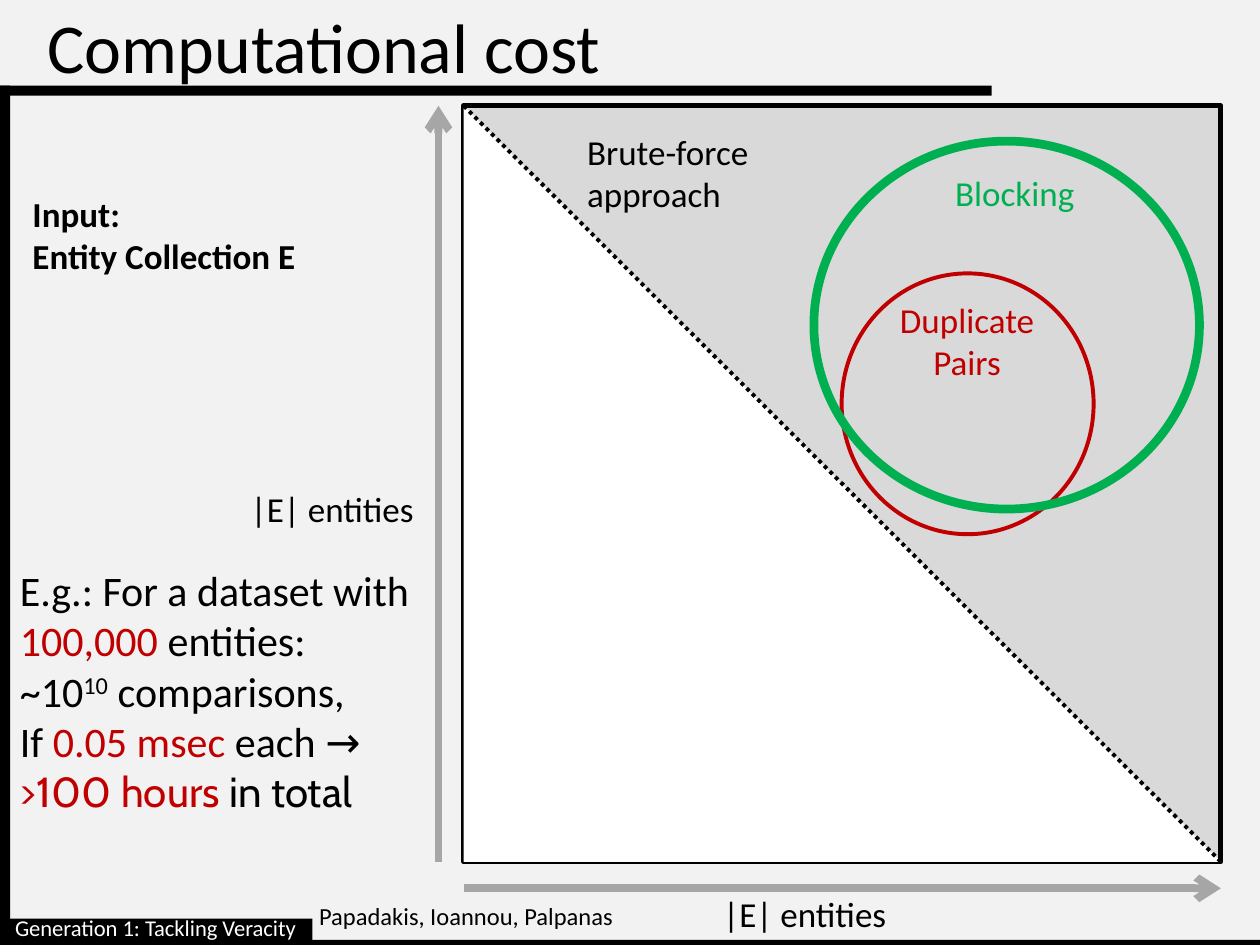
from dataclasses import dataclass
from typing import Optional

import pptx
import pptx.dml.color
import pptx.enum.dml
import pptx.enum.shapes
import pptx.enum.text
import pptx.oxml
import pptx.oxml.ns
import pptx.util

Inches = pptx.util.Inches
RGBColor = pptx.dml.color.RGBColor
MSO_SHAPE = pptx.enum.shapes.MSO_SHAPE
PP_ALIGN = pptx.enum.text.PP_ALIGN
MSO_ANCHOR = pptx.enum.text.MSO_ANCHOR

BLACK = RGBColor(0x00, 0x00, 0x00)
WHITE = RGBColor(0xFF, 0xFF, 0xFF)
PAPER = RGBColor(0xF2, 0xF2, 0xF2)
SHADE = RGBColor(0xD9, 0xD9, 0xD9)
GRAY = RGBColor(0xA6, 0xA6, 0xA6)
RED = RGBColor(0xC0, 0x00, 0x00)
GREEN = RGBColor(0x00, 0xB0, 0x50)

LEFT, TOP, WIDTH, HEIGHT = 3.68, 0.84, 6.01, 6
RIGHT, BOTTOM = LEFT + WIDTH, TOP + HEIGHT
BAR = 0.08
NARROW = (0.06, 0.03, 0.06, 0.03)
NORMAL = (0.1, 0.05, 0.1, 0.05)


@dataclass
class Shape:
    kind: int
    box: tuple[float, float, float, float]
    fill: Optional[RGBColor] = None
    line: Optional[RGBColor] = None
    weight: float = 0


@dataclass
class Line:
    start: tuple[float, float]
    end: tuple[float, float]
    color: RGBColor
    weight: float
    arrow: bool = False


@dataclass
class Run:
    text: str
    color: RGBColor = BLACK
    font: str = "Calibri"
    superscript: bool = False


@dataclass
class Label:
    box: tuple[float, float, float, float]
    paragraphs: list[list[Run]]
    size: float = 20
    bold: bool = False
    align: int = PP_ALIGN.LEFT
    anchor: int = MSO_ANCHOR.TOP
    margins: tuple[float, float, float, float] = NARROW
    spacing: float = 1.0


SHAPES = [
    Shape(MSO_SHAPE.RECTANGLE, (0, 7.46, 10, BAR), BLACK),
    Shape(MSO_SHAPE.RECTANGLE, (0, 0.68, 7.87, BAR), BLACK),
    Shape(MSO_SHAPE.RECTANGLE, (0, 0.68, BAR, 6.82), BLACK),
    Shape(MSO_SHAPE.RECTANGLE, (0.04, 7.29, 2.44, 0.22), BLACK),
    Shape(MSO_SHAPE.RECTANGLE, (LEFT, TOP, WIDTH, HEIGHT), SHADE, BLACK, 3),
    Shape(MSO_SHAPE.RIGHT_TRIANGLE, (LEFT, TOP, WIDTH, HEIGHT), WHITE),
    Shape(MSO_SHAPE.OVAL, (6.68, 2.17, 2, 2.07), None, RED, 2.25),
    Shape(MSO_SHAPE.OVAL, (6.46, 1.12, 3.06, 2.92), None, GREEN, 5),
]

LINES = [
    Line((LEFT, 7.05), (RIGHT, 7.05), GRAY, 4.5, arrow=True),
    Line((3.48, BOTTOM), (3.48, TOP), GRAY, 4.5, arrow=True),
    Line((LEFT, TOP), (RIGHT, BOTTOM), BLACK, 2.25),
]

LABELS = [
    Label((1.93, 3.84, 1.56, 0.39), [[Run("|E| entities")]]),
    Label((5.68, 7.05, 1.81, 0.39), [[Run("|E| entities")]]),
    Label((4.6, 1.01, 1.47, 0.73), [[Run("Brute-force approach")]]),
    Label((6.9, 2.34, 1.55, 0.73), [[Run("Duplicate Pairs", RED)]], align=PP_ALIGN.CENTER),
    Label((7.52, 1.33, 1.12, 0.39), [[Run("Blocking", GREEN)]]),
    Label((0.16, 1.48, 2.8, 0.77), [[Run("Input:")], [Run("Entity Collection E")]],
          bold=True, margins=NORMAL),
    Label((0.06, 4.43, 3.35, 2.12), [
        [Run("E.g.: For a dataset with "), Run("100,000", RED), Run(" entities:")],
        [Run("~10"), Run("10", superscript=True), Run(" comparisons,")],
        [Run("If "), Run("0.05 msec ", RED), Run("each "), Run("→ ", font="Cabin"),
         Run(">100 hours ", RED, "Cabin"), Run("in total", font="Cabin")],
    ], size=24, margins=NORMAL),
    Label((0.28, 0, 8.43, 0.73), [[Run("Computational cost")]], size=40,
          anchor=MSO_ANCHOR.MIDDLE, margins=NORMAL),
    Label((1.93, 7.1, 3.54, 0.4), [[Run("Papadakis, Ioannou, Palpanas")]], size=14,
          align=PP_ALIGN.CENTER, margins=NORMAL),
    Label((0.04, 7.29, 2.44, 0.22), [[Run("Generation 1: Tackling Veracity", WHITE)]],
          size=12.9, align=PP_ALIGN.JUSTIFY, anchor=MSO_ANCHOR.MIDDLE,
          margins=(0.08, 0, 0.04, 0.04), spacing=0.8),
]


def draw_shape(s: pptx.slide.Slide, item: Shape) -> None:
    sp = s.shapes.add_shape(item.kind, *map(Inches, item.box))
    sp.shadow.inherit = False
    if item.fill is None:
        sp.fill.background()
    else:
        sp.fill.solid()
        sp.fill.fore_color.rgb = item.fill
    if item.line is None:
        sp.line.fill.background()
    else:
        sp.line.color.rgb = item.line
        sp.line.width = pptx.util.Pt(item.weight)


def draw_line(s: pptx.slide.Slide, item: Line) -> None:
    cx = s.shapes.add_connector(pptx.enum.shapes.MSO_CONNECTOR.STRAIGHT,
                                *map(Inches, item.start + item.end))
    cx.line.color.rgb = item.color
    cx.line.width = pptx.util.Pt(item.weight)
    if item.arrow:
        tail = pptx.oxml.parse_xml(f'<a:tailEnd {pptx.oxml.ns.nsdecls("a")} type="arrow"/>')
        cx.line._get_or_add_ln().append(tail)
    else:
        cx.line.dash_style = pptx.enum.dml.MSO_LINE.ROUND_DOT
    effects = pptx.oxml.parse_xml(f'<a:effectLst {pptx.oxml.ns.nsdecls("a")}/>')
    cx._element.spPr.append(effects)


def draw_label(s: pptx.slide.Slide, item: Label) -> None:
    tf = s.shapes.add_textbox(*map(Inches, item.box)).text_frame
    tf.word_wrap = True
    tf.vertical_anchor = item.anchor
    tf.margin_left, tf.margin_top, tf.margin_right, tf.margin_bottom = map(Inches, item.margins)
    for i, runs in enumerate(item.paragraphs):
        p = tf.add_paragraph() if i else tf.paragraphs[0]
        p.alignment = item.align
        p.line_spacing = item.spacing
        for run in runs:
            r = p.add_run()
            r.text = run.text
            r.font.name = run.font
            r.font.size = pptx.util.Pt(item.size)
            r.font.bold = item.bold
            r.font.color.rgb = run.color
            if run.superscript:
                r._r.get_or_add_rPr().set("baseline", "30000")


def main() -> None:
    prs = pptx.Presentation()
    prs.slide_width, prs.slide_height = Inches(10), Inches(7.5)
    s = prs.slides.add_slide(prs.slide_layouts[6])
    s.background.fill.solid()
    s.background.fill.fore_color.rgb = PAPER
    for shape in SHAPES:
        draw_shape(s, shape)
    for line in LINES:
        draw_line(s, line)
    for label in LABELS:
        draw_label(s, label)
    prs.save("out.pptx")


if __name__ == "__main__":
    main()
